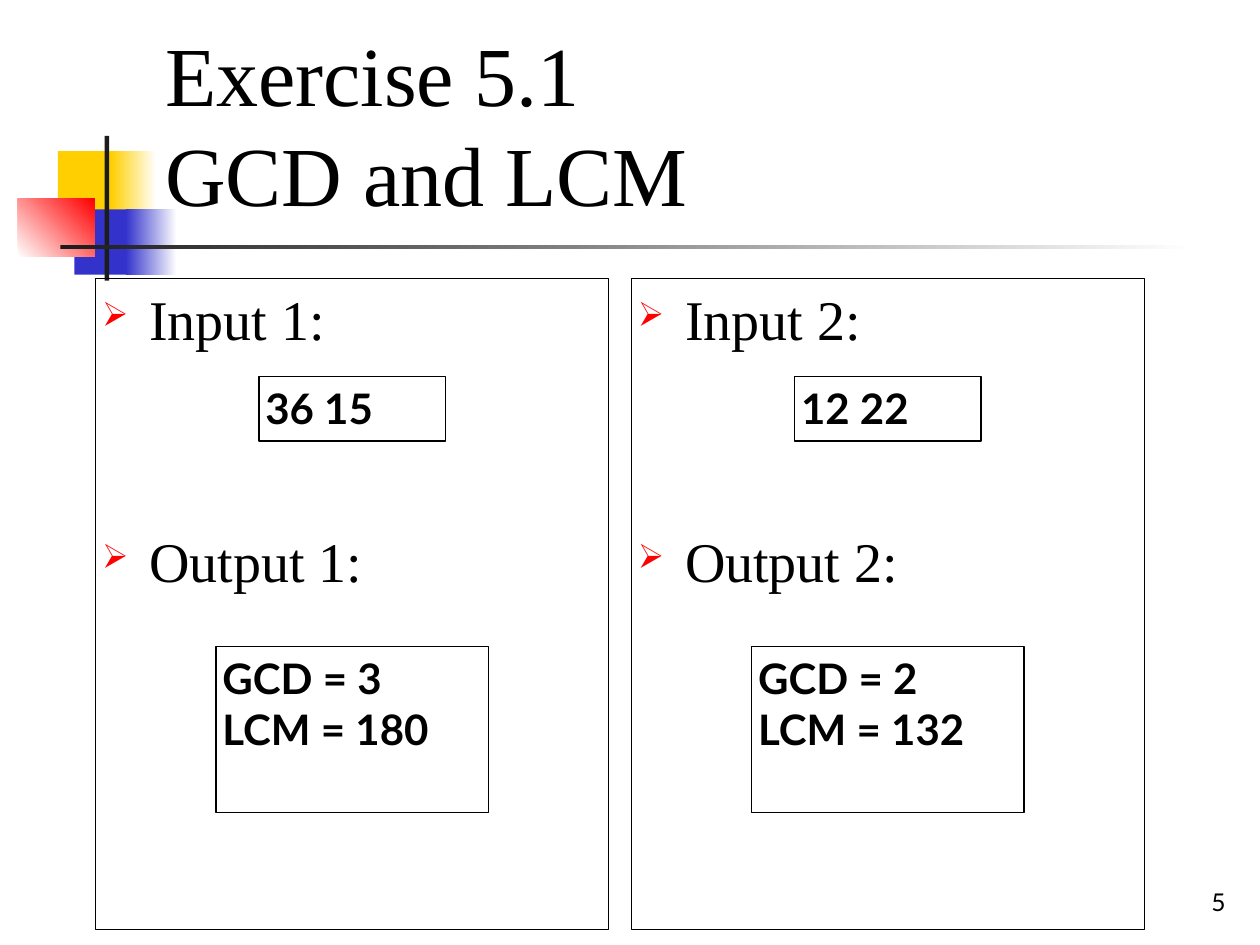
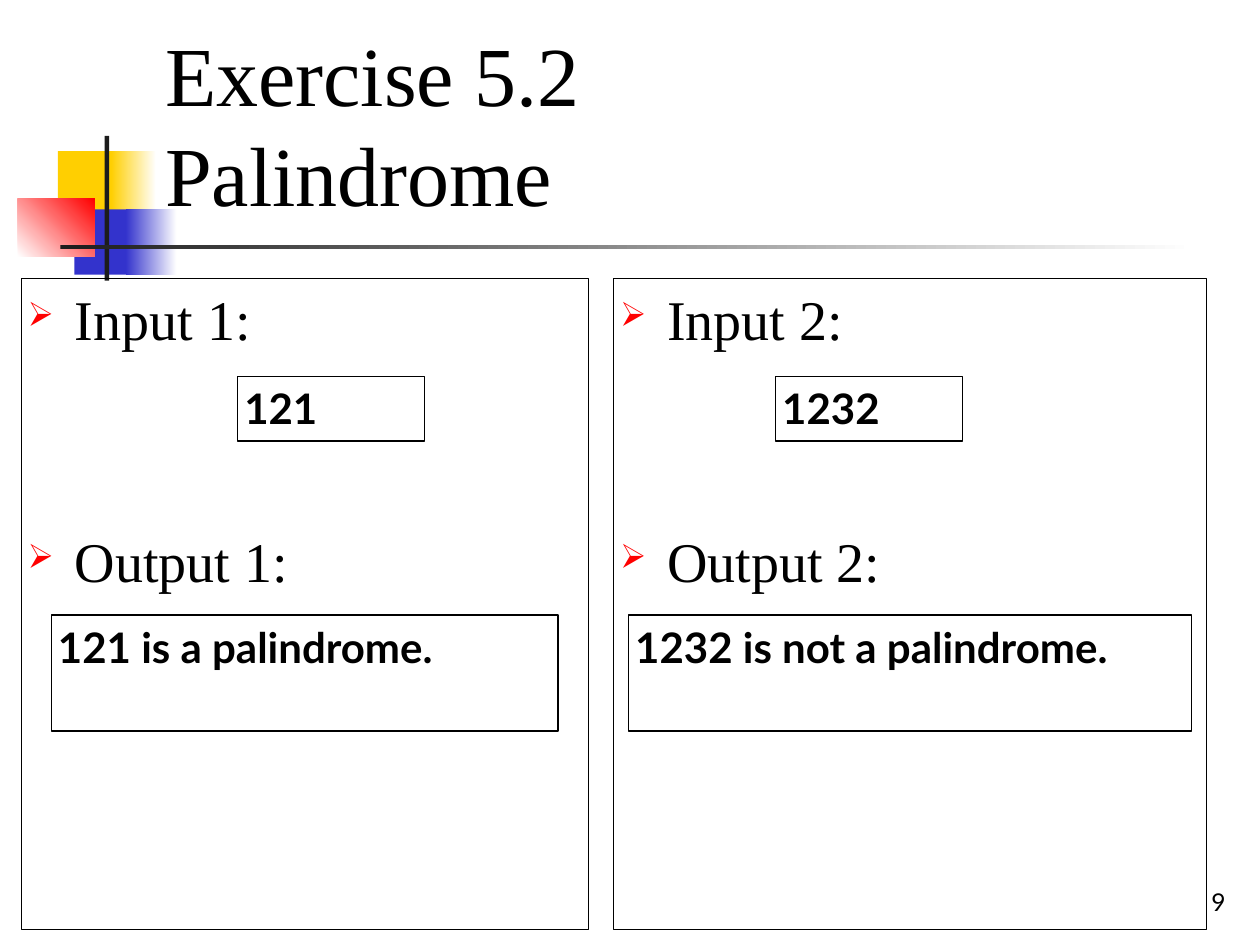
from lxml.etree import SubElement
from pptx import Presentation
from pptx.dml.color import RGBColor
from pptx.enum.shapes import MSO_SHAPE
from pptx.enum.text import MSO_ANCHOR as Anchor, MSO_AUTO_SIZE as Fit, PP_ALIGN as Align
from pptx.oxml.ns import qn
from pptx.util import Cm, Pt

SERIF, SANS = "Times New Roman", "Lato"
BLACK, WHITE, RED = "000000", "FFFFFF", "FF0000"
GOLD, BLUE, DARK = "FFCF01", "3333CC", "1C1C1C"

# left, top, width, height in cm; one colour, or two for a gradient; angle
MOTIF = [
    (1.17, 3.05, 1.22, 1.32, [GOLD], 0),
    (2.24, 3.05, 0.91, 1.32, [GOLD, WHITE], 0),
    (1.5, 4.22, 1.17, 1.32, [BLUE], 0),
    (2.54, 4.22, 1.02, 1.32, [BLUE, WHITE], 0),
    (0.36, 4.01, 1.55, 1.17, [WHITE, RED], 45),
    (2.11, 2.74, 0.09, 2.92, [DARK], 0),
    (1.22, 4.94, 22.86, 0.09, [DARK, WHITE], 0),
]
TITLE = (3.2, 0.58, 21.64, 4.06)
NUMBER = (24.28, 17.75, 0.56, 0.86)
PANEL_TOP, PANEL_H = 5.61, 13.13
INPUT_TOP, INPUT_W, INPUT_H = 7.59, 3.76, 1.3
INSET, INDENT = 0.13, 0.95

# "shift" moves the input box off the centre of its panel
SLIDES = [
    dict(title="Exercise 5.1\nGCD and LCM", number="5", out_top=13.03, out_h=3.35, cases=[
        dict(left=1.93, width=10.34, shift=0, input="36 15",
             output="GCD = 3\nLCM = 180", out_w=5.49),
        dict(left=12.73, width=10.34, shift=0, input="12 22",
             output="GCD = 2\nLCM = 132", out_w=5.49),
    ]),
    dict(title="Exercise 5.2\nPalindrome", number="9", out_top=12.4, out_h=2.34, cases=[
        dict(left=0.43, width=11.43, shift=0.53, input="121",
             output="121 is a palindrome.", out_w=10.21),
        dict(left=12.37, width=11.96, shift=-0.83, input="1232",
             output="1232 is not a palindrome.", out_w=11.35),
    ]),
]


def rgb(code):
    return RGBColor.from_string(code)


def lengths(box):
    return [Cm(n) for n in box]


def write(shape, text, size, font, bold=False, align=Align.LEFT, anchor=Anchor.TOP, wrap=True):
    frame = shape.text_frame
    frame.text = text
    frame.auto_size = Fit.NONE
    frame.word_wrap = wrap
    frame.vertical_anchor = anchor
    frame.margin_left = frame.margin_right = Cm(INSET)
    frame.margin_top = frame.margin_bottom = Cm(INSET)
    for para in frame.paragraphs:
        para.alignment = align
        for run in para.runs:
            run.font.size, run.font.name, run.font.bold = Pt(size), font, bold
            run.font.color.rgb = rgb(BLACK)
    return frame.paragraphs


def add_rect(slide, box):
    rect = slide.shapes.add_shape(MSO_SHAPE.RECTANGLE, *lengths(box))
    rect.shadow.inherit = False
    return rect


def add_frame(slide, box):
    rect = add_rect(slide, box)
    rect.fill.background()
    rect.line.color.rgb = rgb(BLACK)
    rect.line.width = Pt(0.75)
    return rect


def add_motif(slide):
    for *box, tones, angle in MOTIF:
        rect = add_rect(slide, box)
        rect.line.fill.background()
        if len(tones) == 1:
            rect.fill.solid()
            rect.fill.fore_color.rgb = rgb(tones[0])
        else:
            rect.fill.gradient()
            rect.fill.gradient_angle = angle
            for stop, tone in zip(rect.fill.gradient_stops, tones):
                stop.color.rgb = rgb(tone)


def add_bullet(para, gap):
    para.space_before = Pt(gap)
    props = para._p.get_or_add_pPr()
    props.set("marL", str(Cm(INDENT)))
    props.set("indent", str(-Cm(INDENT)))
    SubElement(SubElement(props, qn("a:buClr")), qn("a:srgbClr")).set("val", RED)
    SubElement(props, qn("a:buSzPct")).set("val", "60000")
    SubElement(props, qn("a:buChar")).set("char", "➢")


def add_case(slide, index, case, out_top, out_h):
    left, width = case["left"], case["width"]
    panel = add_frame(slide, (left, PANEL_TOP, width, PANEL_H))
    heads = write(panel, f"Input {index}:\nOutput {index}:", 32, SERIF)
    for para, gap in zip(heads, (7, 99.8)):
        add_bullet(para, gap)

    def add_box(text, top, wide, high, shift=0):
        box = (left + (width - wide) / 2 + shift, top, wide, high)
        write(add_frame(slide, box), text, 24, SANS, bold=True)

    add_box(case["input"], INPUT_TOP, INPUT_W, INPUT_H, case["shift"])
    add_box(case["output"], out_top, case["out_w"], out_h)


def add_slide(deck, page):
    slide = deck.slides.add_slide(deck.slide_layouts[5])
    add_motif(slide)
    title = slide.shapes.title
    title.left, title.top, title.width, title.height = lengths(TITLE)
    write(title, page["title"], 48, SERIF, anchor=Anchor.BOTTOM)
    slide.shapes._spTree.append(title._element)  # text in front of the motif
    number = slide.shapes.add_textbox(*lengths(NUMBER))
    write(number, page["number"], 14, SANS, align=Align.RIGHT, anchor=Anchor.BOTTOM, wrap=False)
    for index, case in enumerate(page["cases"], 1):
        add_case(slide, index, case, page["out_top"], page["out_h"])


def main():
    deck = Presentation()
    deck.slide_width, deck.slide_height = Cm(25.4), Cm(19.05)
    for page in SLIDES:
        add_slide(deck, page)
    deck.save("out.pptx")


if __name__ == "__main__":
    main()
